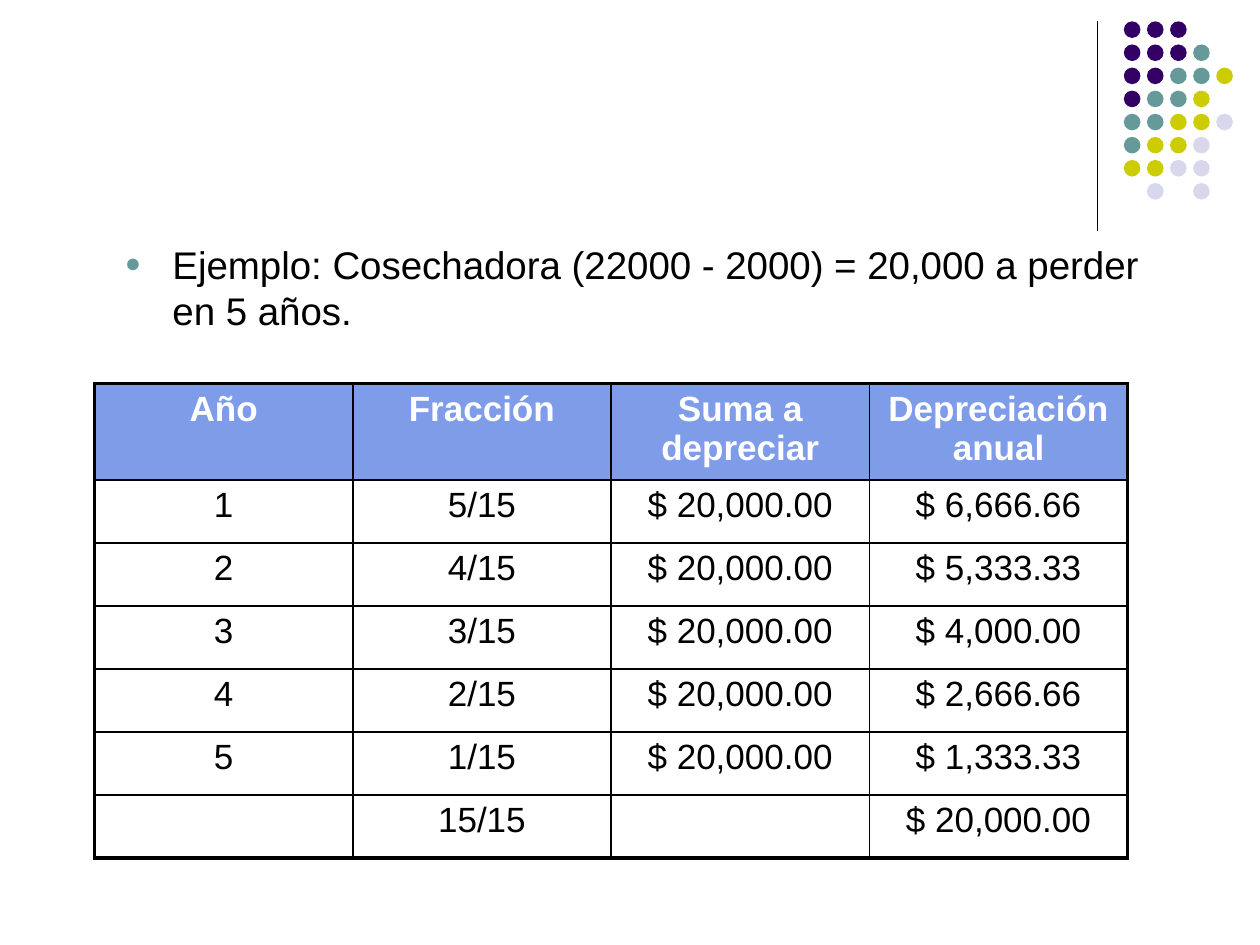
from dataclasses import dataclass

from lxml.etree import SubElement
from pptx import Presentation
from pptx.dml.color import RGBColor
from pptx.enum.shapes import MSO_CONNECTOR as Connector, MSO_SHAPE as Preset
from pptx.enum.text import PP_ALIGN as Align
from pptx.oxml.ns import qn
from pptx.slide import Slide
from pptx.table import _Cell as Cell
from pptx.util import Pt

FONT = "Arial"
BLACK, WHITE, TEAL, HEADER_BLUE = "000000", "FFFFFF", "669999", "7E9CE8"
DOT_COLORS = {"P": "330066", "T": TEAL, "Y": "CCCC00", "L": "D8D8EC"}
DOT_ROWS = ["PPP", "PPPT", "PPTTY", "PTTY", "TTYYL", "TYYL", "YYLL", " L L"]
DOT_SIZE, DOT_PITCH, DOT_LEFT, DOT_TOP = 9.5, 13.2, 642.2, 12.2
THIN, THICK = 1, 2.25


@dataclass
class Dot:
    left: float
    top: float
    color: str


@dataclass
class YearRow:
    year: str
    fraction: str
    amount: str
    depreciation: str

    def texts(self) -> list[str]:
        return [self.year, self.fraction, self.amount, self.depreciation]


SCHEDULE = [
    YearRow("Año", "Fracción", "Suma a depreciar", "Depreciación anual"),
    YearRow("1", "5/15", "$ 20,000.00", "$ 6,666.66"),
    YearRow("2", "4/15", "$ 20,000.00", "$ 5,333.33"),
    YearRow("3", "3/15", "$ 20,000.00", "$ 4,000.00"),
    YearRow("4", "2/15", "$ 20,000.00", "$ 2,666.66"),
    YearRow("5", "1/15", "$ 20,000.00", "$ 1,333.33"),
    YearRow("", "15/15", "", "$ 20,000.00"),
]


def rgb(color: str) -> RGBColor:
    return RGBColor.from_string(color)


def style_runs(paragraph, size: float, color: str, bold: bool = False) -> None:
    for run in paragraph.runs:
        run.font.name = FONT
        run.font.size = Pt(size)
        run.font.bold = bold
        run.font.color.rgb = rgb(color)


def add_divider(slide: Slide) -> None:
    line = slide.shapes.add_connector(
        Connector.STRAIGHT, Pt(627), Pt(12), Pt(627), Pt(132))
    line.line.color.rgb = rgb(BLACK)
    line.line.width = Pt(0.75)
    SubElement(line._element.spPr, qn("a:effectLst"))


def add_dot(slide: Slide, dot: Dot) -> None:
    shape = slide.shapes.add_shape(
        Preset.OVAL, Pt(dot.left), Pt(dot.top), Pt(DOT_SIZE), Pt(DOT_SIZE))
    shape.shadow.inherit = False
    shape.fill.solid()
    shape.fill.fore_color.rgb = rgb(dot.color)
    shape.line.fill.background()


def add_dot_pattern(slide: Slide) -> None:
    for row, keys in enumerate(DOT_ROWS):
        for column, key in enumerate(keys):
            if key in DOT_COLORS:
                add_dot(slide, Dot(DOT_LEFT + column * DOT_PITCH,
                                   DOT_TOP + row * DOT_PITCH, DOT_COLORS[key]))


def add_bullet(paragraph, color: str) -> None:
    properties = paragraph._p.get_or_add_pPr()
    properties.set("marL", str(Pt(54.75)))
    properties.set("indent", str(-Pt(27.25)))
    bullet_color = SubElement(properties, qn("a:buClr"))
    SubElement(bullet_color, qn("a:srgbClr"), val=color)
    SubElement(properties, qn("a:buSzPct"), val="70000")
    SubElement(properties, qn("a:buFont"), typeface=FONT)
    SubElement(properties, qn("a:buChar"), char="●")


def add_example(slide: Slide) -> None:
    box = slide.shapes.add_textbox(Pt(36.7), Pt(134), Pt(641.5), Pt(67.7))
    box.text_frame.word_wrap = True
    box.text_frame.text = (
        "Ejemplo: Cosechadora (22000 - 2000) = 20,000 a perder en 5 años.")
    paragraph = box.text_frame.paragraphs[0]
    paragraph.space_before = Pt(4.4)
    add_bullet(paragraph, TEAL)
    style_runs(paragraph, 22, BLACK)


def set_borders(cell: Cell, widths: dict[str, float]) -> None:
    properties = cell._tc.get_or_add_tcPr()
    for side, width in widths.items():
        border = SubElement(properties, qn(f"a:ln{side}"), w=str(Pt(width)))
        fill = SubElement(border, qn("a:solidFill"))
        SubElement(fill, qn("a:srgbClr"), val=BLACK)


def fill_cell(cell: Cell, text: str, is_header: bool) -> None:
    cell.text_frame.text = text
    paragraph = cell.text_frame.paragraphs[0]
    paragraph.alignment = Align.CENTER
    paragraph.space_before = Pt(4)
    style_runs(paragraph, 20, WHITE if is_header else BLACK, is_header)
    if is_header:
        cell.fill.solid()
        cell.fill.fore_color.rgb = rgb(HEADER_BLUE)
    else:
        cell.fill.background()


def add_schedule(slide: Slide, rows: list[YearRow]) -> None:
    last_row, last_column = len(rows) - 1, len(rows[0].texts()) - 1
    table = slide.shapes.add_table(
        last_row + 1, last_column + 1, Pt(54), Pt(219), Pt(590.4), Pt(267.6)).table
    table.first_row = table.horz_banding = False
    for column in table.columns:
        column.width = Pt(147.6)
    for row, record in enumerate(rows):
        table.rows[row].height = Pt(36 if row else 51.6)
        for column, text in enumerate(record.texts()):
            cell = table.cell(row, column)
            set_borders(cell, {
                "L": THICK if column == 0 else THIN,
                "R": THICK if column == last_column else THIN,
                "T": THICK if row == 0 else THIN,
                "B": THICK if row == last_row else THIN,
            })
            fill_cell(cell, text, row == 0)


def main() -> None:
    """Build the slide on the depreciation of a harvester and save it."""
    presentation = Presentation()
    presentation.slide_width, presentation.slide_height = Pt(720), Pt(540)
    slide = presentation.slides.add_slide(presentation.slide_layouts[6])
    add_divider(slide)
    add_dot_pattern(slide)
    add_example(slide)
    add_schedule(slide, SCHEDULE)
    presentation.save("out.pptx")


if __name__ == "__main__":
    main()
